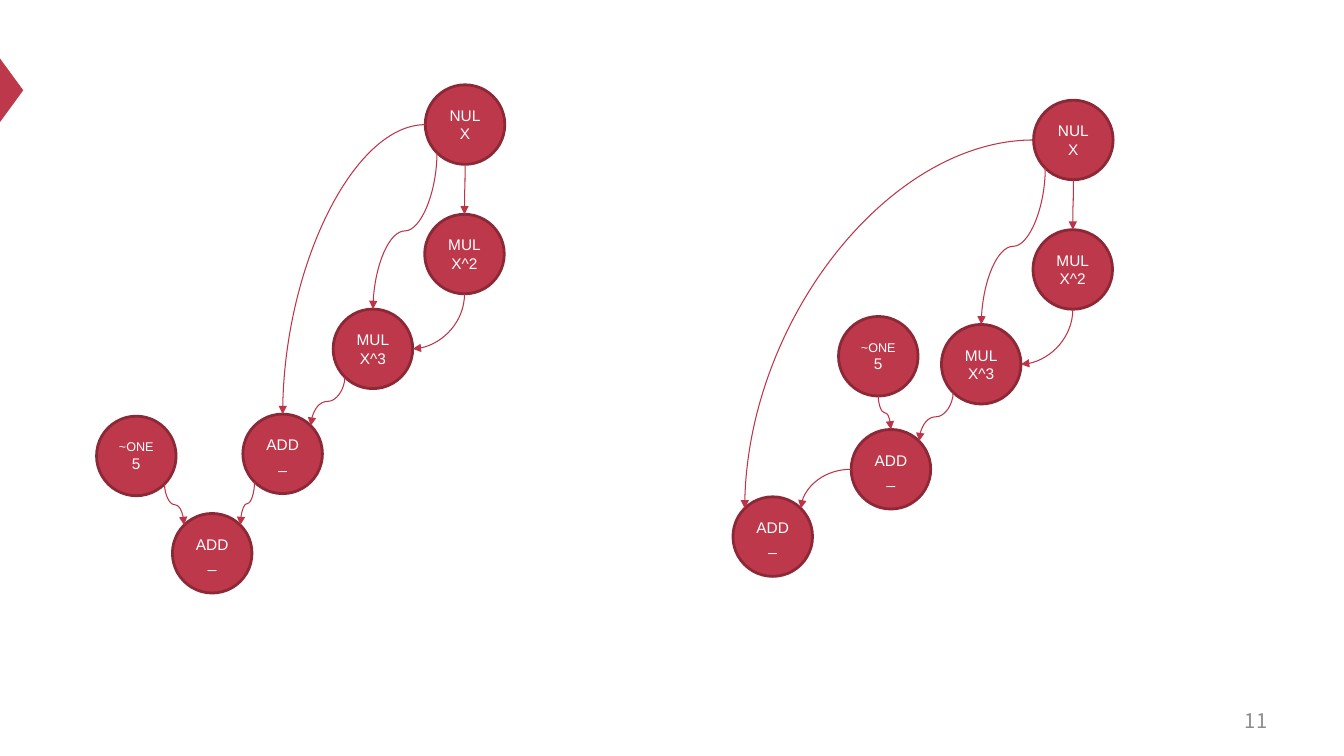
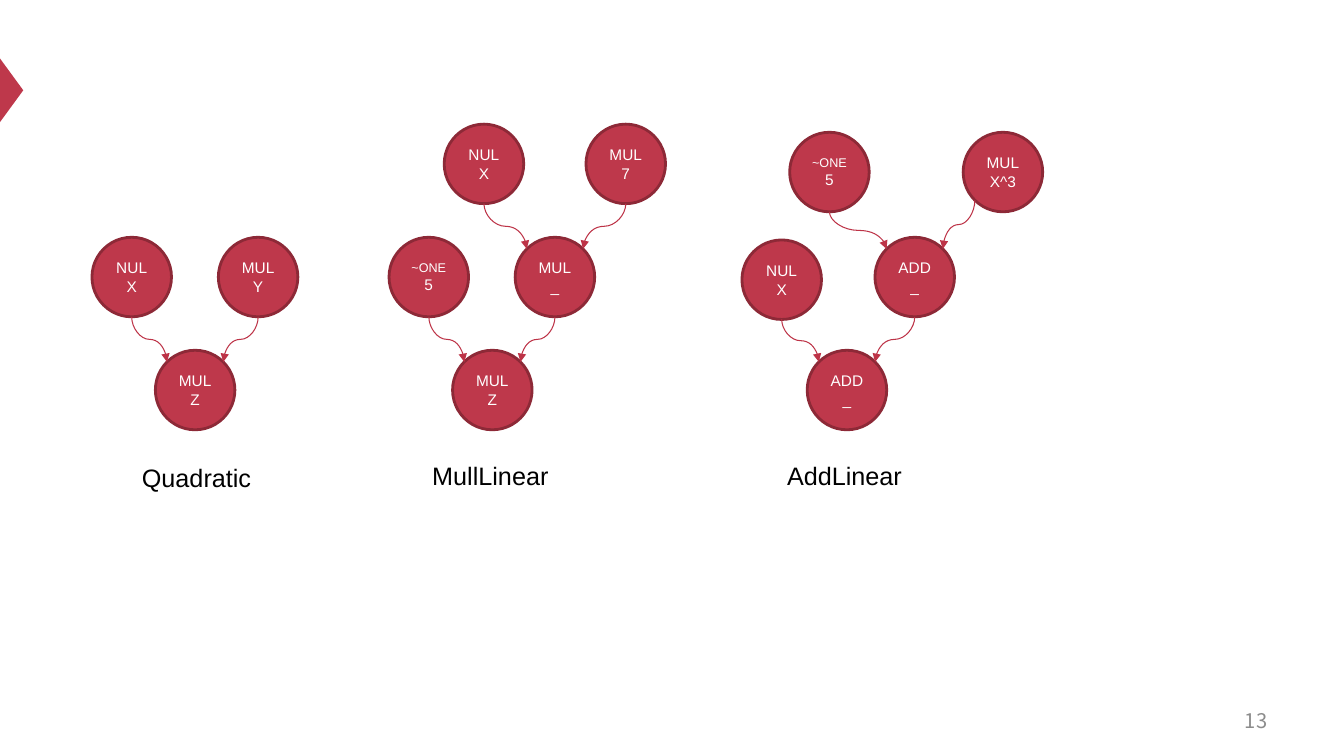
"""Build two slides of operation graphs: round nodes joined by curved arrows."""
import math
from dataclasses import dataclass, replace
from enum import IntEnum

from lxml import etree
from pptx import Presentation
from pptx.dml.color import RGBColor
from pptx.enum.shapes import MSO_CONNECTOR, MSO_SHAPE
from pptx.enum.text import MSO_ANCHOR, PP_ALIGN
from pptx.oxml.ns import qn
from pptx.presentation import Presentation as Deck
from pptx.shapes.autoshape import Shape
from pptx.slide import Slide
from pptx.text.text import TextFrame
from pptx.util import Pt

OVAL, TRIANGLE = MSO_SHAPE.OVAL, MSO_SHAPE.ISOSCELES_TRIANGLE
CURVE = MSO_CONNECTOR.CURVE
MIDDLE, TOP = MSO_ANCHOR.MIDDLE, MSO_ANCHOR.TOP
LEFT_ALIGN, CENTER, RIGHT_ALIGN = PP_ALIGN.LEFT, PP_ALIGN.CENTER, PP_ALIGN.RIGHT

RED, DARK_RED, ARROW_RED = "BE384B", "8D2937", "BD3347"
WHITE, BLACK, GREY = "FFFFFF", "000000", "8C8C8C"
FONT, NUMBER_FONT = "Arial", "Noto Sans CJK SC"
DIAMETER = 56.8
BLANK_LAYOUT = 6


class Site(IntEnum):
    """Connection sites of an ellipse, counter-clockwise from the top."""
    TOP = 0
    TOP_LEFT = 1
    LEFT = 2
    BOTTOM_LEFT = 3
    BOTTOM = 4
    BOTTOM_RIGHT = 5
    RIGHT = 6
    TOP_RIGHT = 7


@dataclass(frozen=True)
class Node:
    """A circle centred at x, y with an operation above a value."""
    key: str
    op: str
    value: str
    x: float
    y: float

    def site(self, site: Site) -> tuple[float, float]:
        """Return the position of a connection site."""
        angle = math.pi / 4 * site
        radius = DIAMETER / 2
        return self.x - radius * math.sin(angle), self.y - radius * math.cos(angle)


@dataclass(frozen=True)
class Edge:
    """An arrow between the sites of two nodes."""
    start: str
    start_site: Site
    end: str
    end_site: Site


@dataclass(frozen=True)
class Label:
    """A caption below a graph."""
    text: str
    x: float
    y: float


@dataclass(frozen=True)
class Graph:
    """Nodes, the edges between them and an optional caption."""
    nodes: tuple[Node, ...]
    edges: tuple[Edge, ...]
    label: Label | None = None


def color(value: str) -> RGBColor:
    """Turn a hex string into a colour."""
    return RGBColor.from_string(value)


def add_line(tf: TextFrame, text: str, size: float, font: str, ink: str,
             align: PP_ALIGN, first: bool = True) -> None:
    """Write one paragraph with a single run."""
    p = tf.paragraphs[0] if first else tf.add_paragraph()
    p.alignment = align
    r = p.add_run()
    r.text = text
    r.font.size = Pt(size)
    r.font.name = font
    r.font.color.rgb = color(ink)


def add_text(s: Slide, box: tuple[float, float, float, float], text: str, size: float,
             font: str, ink: str, align: PP_ALIGN, anchor: MSO_ANCHOR) -> None:
    """Add a wrapping text box."""
    tf = s.shapes.add_textbox(*map(Pt, box)).text_frame
    tf.word_wrap = True
    tf.vertical_anchor = anchor
    add_line(tf, text, size, font, ink, align)


def add_filled(s: Slide, kind: MSO_SHAPE, box: tuple[float, float, float, float]) -> Shape:
    """Add a flat red shape without outline."""
    sp = s.shapes.add_shape(kind, *map(Pt, box))
    sp.shadow.inherit = False
    sp.fill.solid()
    sp.fill.fore_color.rgb = color(RED)
    sp.line.fill.background()
    return sp


def add_node(s: Slide, node: Node) -> Shape:
    """Draw a node with its two lines of text."""
    radius = DIAMETER / 2
    sp = add_filled(s, OVAL, (node.x - radius, node.y - radius, DIAMETER, DIAMETER))
    sp.line.color.rgb = color(DARK_RED)
    sp.line.width = Pt(2)
    tf = sp.text_frame
    tf.word_wrap = True
    tf.vertical_anchor = MIDDLE
    tf.margin_left = tf.margin_right = tf.margin_top = tf.margin_bottom = 0
    add_line(tf, node.op, 9 if len(node.op) > 3 else 11, FONT, WHITE, CENTER)
    add_line(tf, node.value, 11, FONT, WHITE, CENTER, first=False)
    return sp


def add_edge(s: Slide, edge: Edge, nodes: dict[str, Node], shapes: dict[str, Shape]) -> None:
    """Draw a curved arrow glued to the sites of its nodes."""
    x1, y1 = nodes[edge.start].site(edge.start_site)
    x2, y2 = nodes[edge.end].site(edge.end_site)
    sideways = edge.start_site == Site.LEFT
    width, height = abs(x2 - x1), abs(y2 - y1)
    if not sideways:
        width, height = height, width
    left, top = (x1 + x2 - width) / 2, (y1 + y2 - height) / 2
    cxn = s.shapes.add_connector(CURVE, Pt(left), Pt(top), Pt(left + width), Pt(top + height))
    cxn.line.color.rgb = color(ARROW_RED)
    cxn.line.width = Pt(0.75)

    props = cxn.element.spPr
    xfrm = props.find(qn("a:xfrm"))
    if sideways:
        turn, flip = 180, "flipV"
    elif x2 > x1:
        turn, flip = 270, "flipH"
    else:
        turn, flip = 90, ""
    xfrm.set("rot", str(turn * 60000))
    if flip:
        xfrm.set(flip, "1")
    if sideways or edge.end_site == Site.RIGHT:
        props.find(qn("a:prstGeom")).set("prst", "curvedConnector2")
    etree.SubElement(props.find(qn("a:ln")), qn("a:tailEnd"), type="triangle")
    etree.SubElement(props, qn("a:effectLst"))

    glue = cxn.element.find(".//" + qn("p:cNvCxnSpPr"))
    ends = (("a:stCxn", edge.start, edge.start_site), ("a:endCxn", edge.end, edge.end_site))
    for tag, key, site in ends:
        etree.SubElement(glue, qn(tag), id=str(shapes[key].shape_id), idx=str(int(site)))


def add_graph(s: Slide, graph: Graph) -> None:
    """Draw the nodes, edges and caption of a graph."""
    nodes = {node.key: node for node in graph.nodes}
    shapes = {key: add_node(s, node) for key, node in nodes.items()}
    for edge in graph.edges:
        add_edge(s, edge, nodes, shapes)
    if graph.label:
        box = (graph.label.x, graph.label.y, 103, 29)
        add_text(s, box, graph.label.text, 18, FONT, BLACK, LEFT_ALIGN, TOP)


def add_slide(prs: Deck, number: int, graphs: tuple[Graph, ...]) -> None:
    """Add a slide with the side marker, page number and graphs."""
    s = prs.slides.add_slide(prs.slide_layouts[BLANK_LAYOUT])
    add_filled(s, TRIANGLE, (-14.4, 56.2, 45.4, 16.6)).rotation = 90
    add_text(s, (688.3, 500.4, 224, 28.8), str(number), 14.4, NUMBER_FONT, GREY,
             RIGHT_ALIGN, MIDDLE)
    for graph in graphs:
        add_graph(s, graph)


def power_nodes(dx: float = 0, dy: float = 0) -> tuple[Node, ...]:
    """Return the nodes that raise X to the third power, shifted."""
    return tuple(replace(node, x=node.x + dx, y=node.y + dy) for node in POWER_NODES)


def join(left: str, right: str, result: str, right_site: Site = Site.BOTTOM) -> tuple[Edge, ...]:
    """Return the two edges that lead operands down into a result."""
    return (Edge(left, Site.BOTTOM, result, Site.TOP_LEFT),
            Edge(right, right_site, result, Site.TOP_RIGHT))


POWER_NODES = (
    Node("x", "NUL", "X", 332.2, 89),
    Node("square", "MUL", "X^2", 331.8, 181.5),
    Node("cube", "MUL", "X^3", 266.4, 249.2),
    Node("add", "ADD", "_", 201.9, 324.2),
)
POWER_EDGES = (
    Edge("x", Site.BOTTOM, "square", Site.TOP),
    Edge("square", Site.BOTTOM, "cube", Site.RIGHT),
    Edge("x", Site.BOTTOM_LEFT, "cube", Site.TOP),
    Edge("cube", Site.BOTTOM_LEFT, "add", Site.TOP_RIGHT),
)
CONSTANT_LAST = Graph(
    power_nodes() + (
        Node("one", "~ONE", "5", 97.4, 325.7),
        Node("sum", "ADD", "_", 151.6, 395.2),
    ),
    POWER_EDGES + (
        Edge("x", Site.LEFT, "add", Site.TOP),
        Edge("one", Site.BOTTOM_RIGHT, "sum", Site.TOP_LEFT),
        Edge("add", Site.BOTTOM_LEFT, "sum", Site.TOP_RIGHT),
    ),
)
CONSTANT_FIRST = Graph(
    power_nodes(434.5, 11) + (
        Node("one", "~ONE", "5", 627.4, 254.5),
        Node("sum", "ADD", "_", 552, 383.3),
    ),
    POWER_EDGES + (
        Edge("x", Site.LEFT, "sum", Site.TOP_LEFT),
        Edge("one", Site.BOTTOM, "add", Site.TOP),
        Edge("add", Site.LEFT, "sum", Site.TOP_RIGHT),
    ),
)
QUADRATIC = Graph(
    (
        Node("x", "NUL", "X", 94.1, 197.9),
        Node("y", "MUL", "Y", 184.4, 197.9),
        Node("z", "MUL", "Z", 139.4, 278.6),
    ),
    join("x", "y", "z"),
    Label("Quadratic", 94.3, 326.9),
)
MULL_LINEAR = Graph(
    (
        Node("x", "NUL", "X", 345.7, 117.1),
        Node("seven", "MUL", "7", 447, 117.1),
        Node("one", "~ONE", "5", 306.3, 197.9),
        Node("product", "MUL", "_", 396.4, 197.9),
        Node("z", "MUL", "Z", 351.7, 278.6),
    ),
    join("x", "seven", "product") + join("one", "product", "z"),
    Label("MullLinear", 301.7, 325.4),
)
ADD_LINEAR = Graph(
    (
        Node("one", "~ONE", "5", 592.5, 122.9),
        Node("cube", "MUL", "X^3", 716.4, 122.9),
        Node("x", "NUL", "X", 558.4, 199.8),
        Node("add", "ADD", "_", 653.4, 197.9),
        Node("sum", "ADD", "_", 605, 278.6),
    ),
    join("one", "cube", "add", Site.BOTTOM_LEFT) + join("x", "add", "sum"),
    Label("AddLinear", 555.1, 325.4),
)


def main() -> None:
    """Build and save the presentation."""
    prs = Presentation()
    prs.slide_width, prs.slide_height = Pt(960), Pt(540)
    add_slide(prs, 11, (CONSTANT_LAST, CONSTANT_FIRST))
    add_slide(prs, 13, (QUADRATIC, MULL_LINEAR, ADD_LINEAR))
    prs.save("out.pptx")


main()
